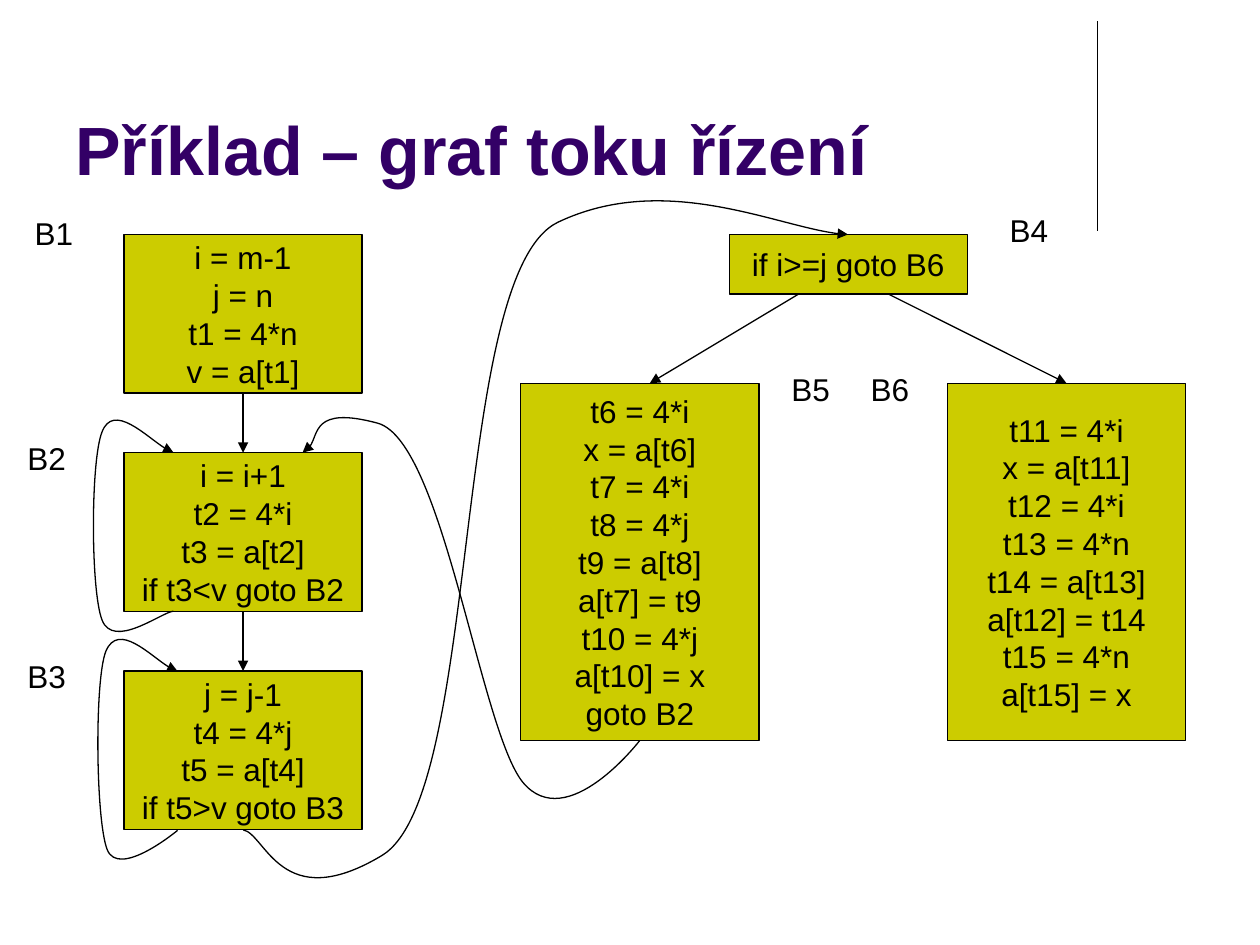
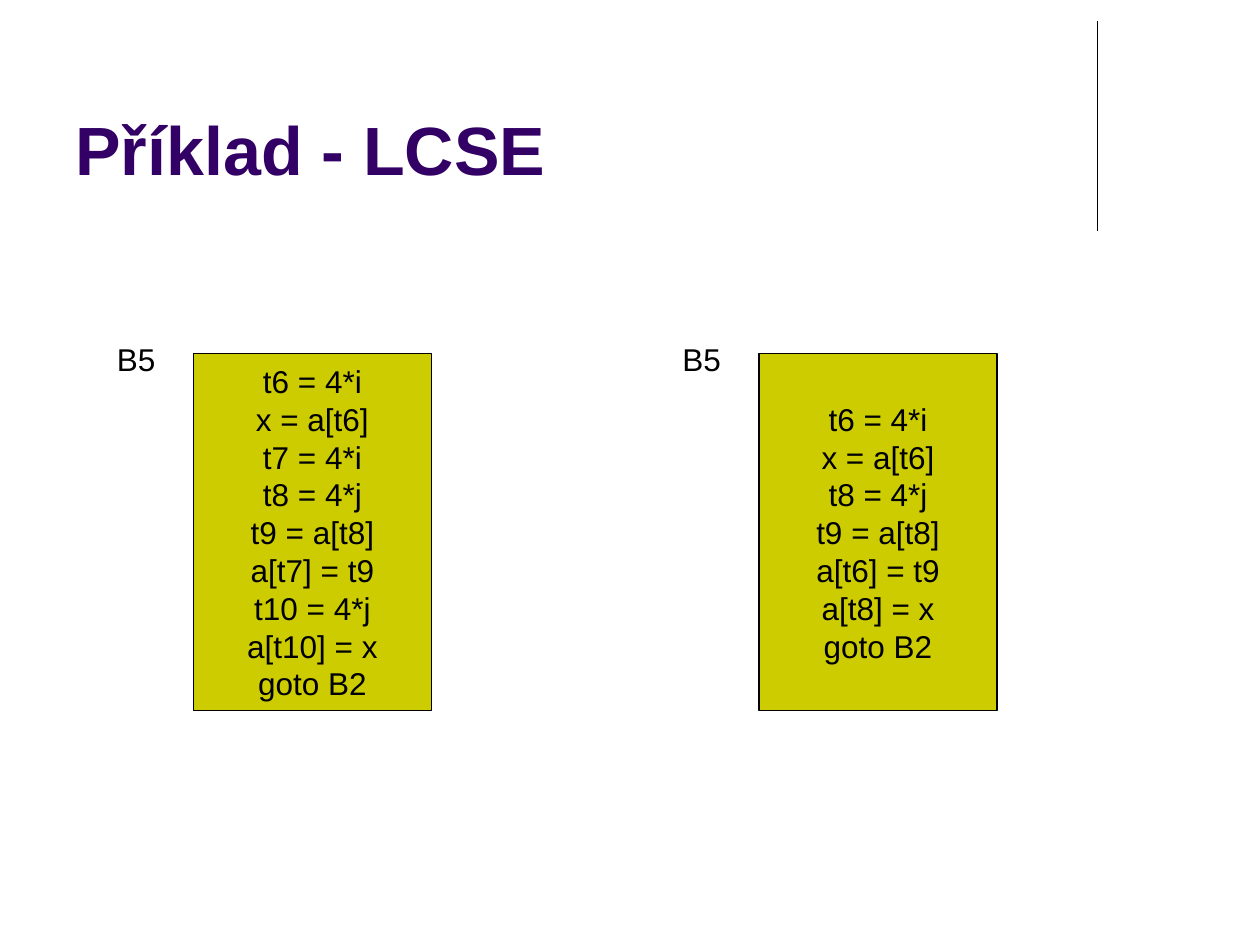
"""Build two slides on basic blocks: the flow graph and local subexpressions."""
from dataclasses import dataclass
from typing import Any, Optional

from lxml import etree
from pptx import Presentation
from pptx.dml.color import RGBColor
from pptx.enum import shapes, text
from pptx.oxml import ns
from pptx.util import Pt

HUES = {"title": "330066", "box": "CCCC00", "ink": "000000"}
WIDE = 136.06
GAP = 34.02
SMALL, MID, TALL = 34.02, 90.71, 204.09
TOP = 134
STEP = MID + GAP
LOW = TOP + SMALL + 1.5 * GAP

HEAD = {"size": Pt(39), "bold": True, "name": "Arial"}
BODY = {"size": Pt(18), "bold": False, "name": "Arial"}
TITLE = {"word_wrap": True, "vertical_anchor": text.MSO_ANCHOR.BOTTOM}
CODE = {"word_wrap": False, "vertical_anchor": text.MSO_ANCHOR.MIDDLE}
TAG = {"word_wrap": False, "vertical_anchor": text.MSO_ANCHOR.TOP,
       "auto_size": text.MSO_AUTO_SIZE.SHAPE_TO_FIT_TEXT}

Point = tuple[float, float]


@dataclass
class Block:
    """A basic block, with its code and the place of its label."""
    name: str
    left: float
    top: float
    high: float
    tag: Point
    code: str


@dataclass
class Link:
    """A straight arrow, joined to the blocks that are named."""
    start: Point
    end: Point
    source: Optional[str] = None
    target: Optional[str] = None


LEFT = 70.87
MAIN = "t6 = 4*i\nx = a[t6]\nt7 = 4*i\nt8 = 4*j\nt9 = a[t8]\na[t7] = t9\nt10 = 4*j\na[t10] = x\ngoto B2"
SHORT = "t6 = 4*i\nx = a[t6]\nt8 = 4*j\nt9 = a[t8]\na[t6] = t9\na[t8] = x\ngoto B2"

FLOW = [
    Block("B1", LEFT, TOP, MID, (12.7, 118.8), "i = m-1\nj = n\nt1 = 4*n\nv = a[t1]"),
    Block("B2", LEFT, TOP + STEP, MID, (8.5, 247.5),
          "i = i+1\nt2 = 4*i\nt3 = a[t2]\nif t3<v goto B2"),
    Block("B3", LEFT, TOP + 2 * STEP, MID, (8.5, 372.2),
          "j = j-1\nt4 = 4*j\nt5 = a[t4]\nif t5>v goto B3"),
    Block("B4", 416.7, TOP, SMALL, (569.8, 117), "if i>=j goto B6"),
    Block("B5", 297.64, LOW, TALL, (445.1, 207.7), MAIN),
    Block("B6", 541.42, LOW, TALL, (490.4, 207.7),
          "t11 = 4*i\nx = a[t11]\nt12 = 4*i\nt13 = 4*n\nt14 = a[t13]\n"
          "a[t12] = t14\nt15 = 4*n\na[t15] = x"),
]
PAIR = [Block("B5", x, 202, TALL, (x - 50.8, 190.7), code)
        for x, code in ((110.5, MAIN), (433.7, SHORT))]

AXIS = LEFT + WIDE / 2
LINKS = [
    Link((456.4, TOP + SMALL), (371.3, LOW)),
    Link((507.6, TOP + SMALL), (541.42 + WIDE / 2, LOW), target="B6"),
    Link((AXIS, TOP + MID), (AXIS, TOP + STEP), "B1", "B2"),
    Link((AXIS, TOP + STEP + MID), (AXIS, TOP + 2 * STEP), "B2", "B3"),
]
CURVES: list[list[Point]] = [
    [(139, 474.2), (151.9, 476.6), (160.6, 523.4), (218.2, 488.9), (275.8, 454.3),
     (257, 156.2), (319, 126.9), (380.2, 97.9), (450, 132.5), (484.6, 134)],
    [(365.6, 423.2), (365.6, 423.2), (324, 477.4), (298.8, 447.1), (274.3, 416.9),
     (253.4, 252.7), (216, 241.9), (178.6, 231.8), (182.2, 255.6), (172.9, 258.7)],
    [(99.2, 349.3), (92.2, 349.9), (64.8, 371.5), (58.3, 354.2), (51.8, 337),
     (51.8, 263.5), (58.3, 247), (64.8, 229.7), (90.7, 256.3), (99.2, 258.7)],
    [(101.5, 474.5), (101.5, 474.5), (67.7, 502.6), (61.2, 485.3), (54.7, 468),
     (54, 388.8), (60.5, 372.2), (67.7, 355), (92.9, 381.6), (101.5, 383.6)],
]


def hue(key: str) -> RGBColor:
    """Return a named colour."""
    return RGBColor.from_string(HUES[key])


def apply(item: Any, form: dict[str, Any]) -> None:
    """Set every format value on an object."""
    for key, value in form.items():
        setattr(item, key, value)


def trim(shape: Any, arrow: bool = False) -> None:
    """Give a shape its thin outline, without shadow."""
    shape.line.width = Pt(0.75)
    shape.line.color.rgb = hue("ink")
    props = shape._element.spPr
    if arrow:
        etree.SubElement(props.find(ns.qn("a:ln")), ns.qn("a:tailEnd"), type="triangle")
    etree.SubElement(props, ns.qn("a:effectLst"))


def write(shape: Any, words: str, frame: dict[str, Any], font: dict[str, Any],
          color: str = "ink", align: Any = text.PP_ALIGN.LEFT) -> None:
    """Fill a shape with one paragraph for each line."""
    body = shape.text_frame
    body.text = words
    apply(body, frame)
    for para in body.paragraphs:
        para.alignment = align
        if font is BODY:
            para.line_spacing = Pt(21.6)
        for run in para.runs:
            apply(run.font, font)
            run.font.color.rgb = hue(color)


def line(slide: Any, start: Point, end: Point) -> Any:
    """Add a straight connector."""
    return slide.shapes.add_connector(
        shapes.MSO_CONNECTOR.STRAIGHT, *(Pt(v) for v in (*start, *end)))


def base(deck: Any, title: str) -> Any:
    """Add a slide with the shared rule and title."""
    slide = deck.slides.add_slide(deck.slide_layouts[6])
    trim(line(slide, (627, 12.2), (627, 131.8)))
    box = slide.shapes.add_textbox(Pt(36), Pt(9.4), Pt(594), Pt(102.2))
    write(box, title, TITLE, HEAD, "title")
    return slide


def draw(slide: Any, block: Block) -> Any:
    """Draw a block and its label."""
    box = slide.shapes.add_shape(shapes.MSO_SHAPE.RECTANGLE, Pt(block.left), Pt(block.top),
                                 Pt(WIDE), Pt(block.high))
    box.fill.solid()
    box.fill.fore_color.rgb = hue("box")
    trim(box)
    write(box, block.code, CODE, BODY, align=text.PP_ALIGN.CENTER)
    tag = slide.shapes.add_textbox(*(Pt(v) for v in block.tag), Pt(37), Pt(28.8))
    write(tag, block.name, TAG, BODY)
    return box


def join(slide: Any, link: Link, boxes: dict[str, Any]) -> None:
    """Draw a straight arrow from one block down to the next."""
    arrow = line(slide, link.start, link.end)
    if link.source:
        arrow.begin_connect(boxes[link.source], 2)
    if link.target:
        arrow.end_connect(boxes[link.target], 0)
    trim(arrow, True)


def curve(slide: Any, points: list[Point]) -> None:
    """Draw a curved arrow, with three points to each Bézier segment."""
    first, *rest = [(Pt(x), Pt(y)) for x, y in points]
    pen = slide.shapes.build_freeform(*first)
    pen.add_line_segments(rest, close=False)
    shape = pen.convert_to_shape()
    shape.fill.background()
    trim(shape, True)
    track = shape._element.find(".//" + ns.qn("a:path"))
    steps = track.findall(ns.qn("a:lnTo"))
    for i in range(0, len(steps), 3):
        bend = etree.SubElement(track, ns.qn("a:cubicBezTo"))
        for step in steps[i:i + 3]:
            bend.append(step[0])
            track.remove(step)


def main() -> None:
    """Build and save the deck."""
    deck = Presentation()
    apply(deck, {"slide_width": Pt(720), "slide_height": Pt(540)})
    graph = base(deck, "Příklad – graf toku řízení")
    boxes = {block.name: draw(graph, block) for block in FLOW}
    for link in LINKS:
        join(graph, link, boxes)
    for points in CURVES:
        curve(graph, points)
    local = base(deck, "Příklad - LCSE")
    for block in PAIR:
        draw(local, block)
    deck.save("out.pptx")


if __name__ == "__main__":
    main()
